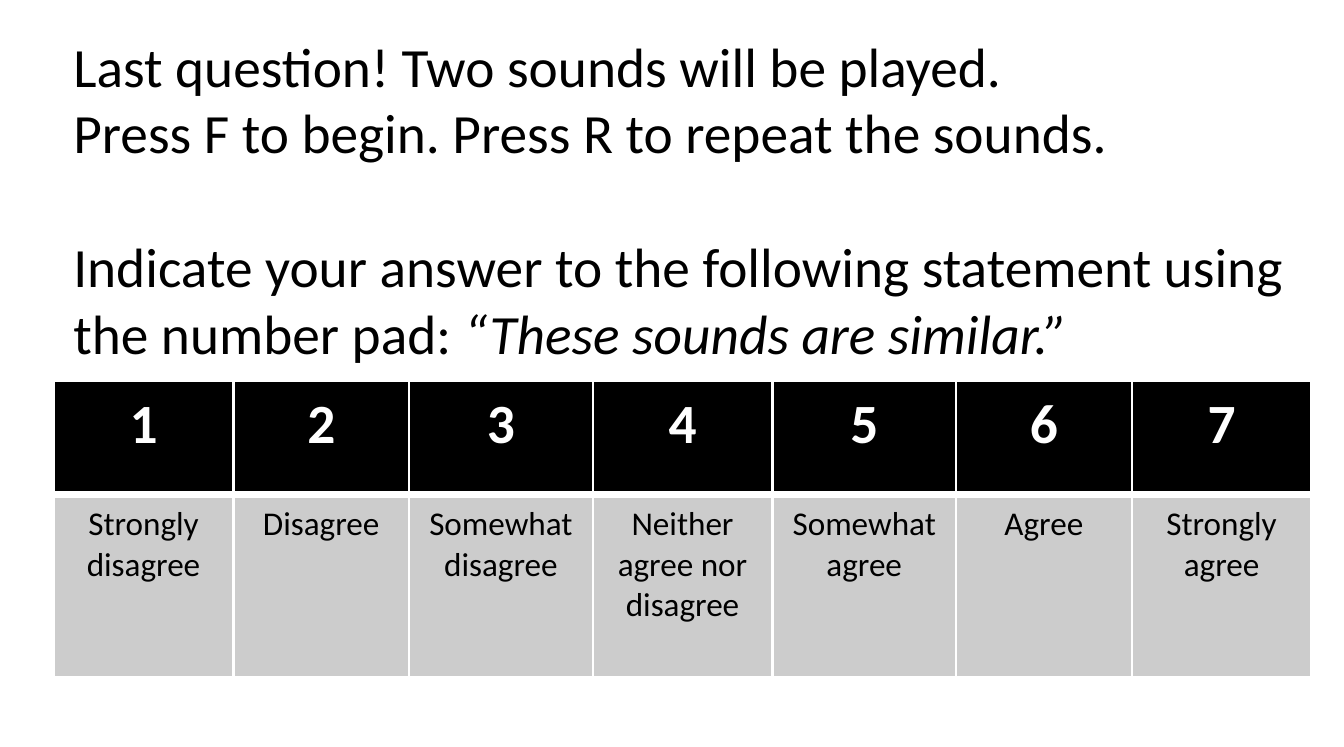
"""Build the slide that asks for a similarity rating on a seven-point scale."""
from dataclasses import dataclass

from lxml.etree import SubElement
from pptx import Presentation
from pptx.dml.color import RGBColor
from pptx.enum.text import MSO_AUTO_SIZE, PP_ALIGN
from pptx.oxml.ns import qn
from pptx.slide import Slide
from pptx.table import _Cell
from pptx.text.text import Font
from pptx.util import Inches, Pt


@dataclass(frozen=True)
class Theme:
    """Colours, font and sizes of the slide."""
    font: str = "Calibri"
    ink: str = "000000"
    paper: str = "FFFFFF"
    label_fill: str = "CCCCCC"
    large: int = 20
    small: int = 12
    thin: int = 1
    thick: int = 3


@dataclass(frozen=True)
class RowStyle:
    """Look of one row of the rating scale."""
    fill: str
    color: str
    size: int
    bold: bool
    top: int
    bottom: int


@dataclass(frozen=True)
class ScalePoint:
    """One answer, with its column's weight in the total width."""
    label: str
    weight: float


THEME = Theme()
WIDTH, HEIGHT = Inches(6.75), Inches(3.75)
LEFT, SPAN = 0.04, 0.936
PROMPT_TOP, PROMPT_HEIGHT = 0.03, 0.475
SCALE_TOP = 0.51
ROW_SHARES = (0.152, 0.245)
LINE_HEIGHT = 1.22

OPENING = ("Last question! Two sounds will be played.",
           "Press F to begin. Press R to repeat the sounds.")
REQUEST = "Indicate your answer to the following statement using the number pad: "
STATEMENT = "“These sounds are similar.”"
SCALE = (
    ScalePoint("Strongly disagree", 0.90),
    ScalePoint("Disagree", 0.88),
    ScalePoint("Somewhat disagree", 0.92),
    ScalePoint("Neither agree nor disagree", 0.90),
    ScalePoint("Somewhat agree", 0.92),
    ScalePoint("Agree", 0.88),
    ScalePoint("Strongly agree", 0.90),
)
NUMBER_ROW = RowStyle(THEME.ink, THEME.paper, THEME.large, True, THEME.thin, THEME.thick)
LABEL_ROW = RowStyle(THEME.label_fill, THEME.ink, THEME.small, False, THEME.thick, THEME.thin)


def format_font(font: Font, size: int, color: str, bold: bool = False) -> None:
    """Apply the theme font with a size, colour and weight."""
    font.name, font.size, font.bold = THEME.font, Pt(size), bold
    font.color.rgb = RGBColor.from_string(color)


def add_prompt(page: Slide) -> None:
    """Write the instructions, with the statement in italics."""
    box = page.shapes.add_textbox(round(LEFT * WIDTH), round(PROMPT_TOP * HEIGHT),
                                  round(SPAN * WIDTH), round(PROMPT_HEIGHT * HEIGHT))
    frame = box.text_frame
    frame.word_wrap = True
    frame.auto_size = MSO_AUTO_SIZE.SHAPE_TO_FIT_TEXT
    frame.text = "\n".join((*OPENING, REQUEST))
    request = frame.paragraphs[-1]
    request.space_before = Pt(THEME.large * LINE_HEIGHT)
    statement = request.add_run()
    statement.text = STATEMENT
    statement.font.italic = True
    for para in frame.paragraphs:
        for span in para.runs:
            format_font(span.font, THEME.large, THEME.ink)


def add_borders(cell: _Cell, style: RowStyle) -> None:
    """Draw the four lines around a cell."""
    properties = cell._tc.get_or_add_tcPr()
    sides = {"lnL": THEME.thin, "lnR": THEME.thin, "lnT": style.top, "lnB": style.bottom}
    for side, points in sides.items():
        line = SubElement(properties, qn(f"a:{side}"), w=str(Pt(points)))
        fill = SubElement(line, qn("a:solidFill"))
        SubElement(fill, qn("a:srgbClr"), val=THEME.paper)


def fill_cell(cell: _Cell, text: str, style: RowStyle) -> None:
    """Write one centred cell in the style of its row."""
    cell.text = text
    para = cell.text_frame.paragraphs[0]
    para.alignment = PP_ALIGN.CENTER
    format_font(para.runs[0].font, style.size, style.color, style.bold)
    add_borders(cell, style)
    cell.fill.solid()
    cell.fill.fore_color.rgb = RGBColor.from_string(style.fill)


def add_scale(page: Slide) -> None:
    """Place the rating scale: numbers above labels."""
    table = page.shapes.add_table(
        len(ROW_SHARES), len(SCALE), round(LEFT * WIDTH), round(SCALE_TOP * HEIGHT),
        round(SPAN * WIDTH), round(sum(ROW_SHARES) * HEIGHT)).table
    for row, share in zip(table.rows, ROW_SHARES):
        row.height = round(share * HEIGHT)
    total = sum(point.weight for point in SCALE)
    for index, point in enumerate(SCALE):
        table.columns[index].width = round(SPAN * WIDTH * point.weight / total)
        fill_cell(table.cell(0, index), str(index + 1), NUMBER_ROW)
        fill_cell(table.cell(1, index), point.label, LABEL_ROW)


def main() -> None:
    """Build and save the deck."""
    deck = Presentation()
    deck.slide_width, deck.slide_height = WIDTH, HEIGHT
    page = deck.slides.add_slide(deck.slide_layouts.get_by_name("Blank"))
    add_prompt(page)
    add_scale(page)
    deck.save("out.pptx")


if __name__ == "__main__":
    main()
